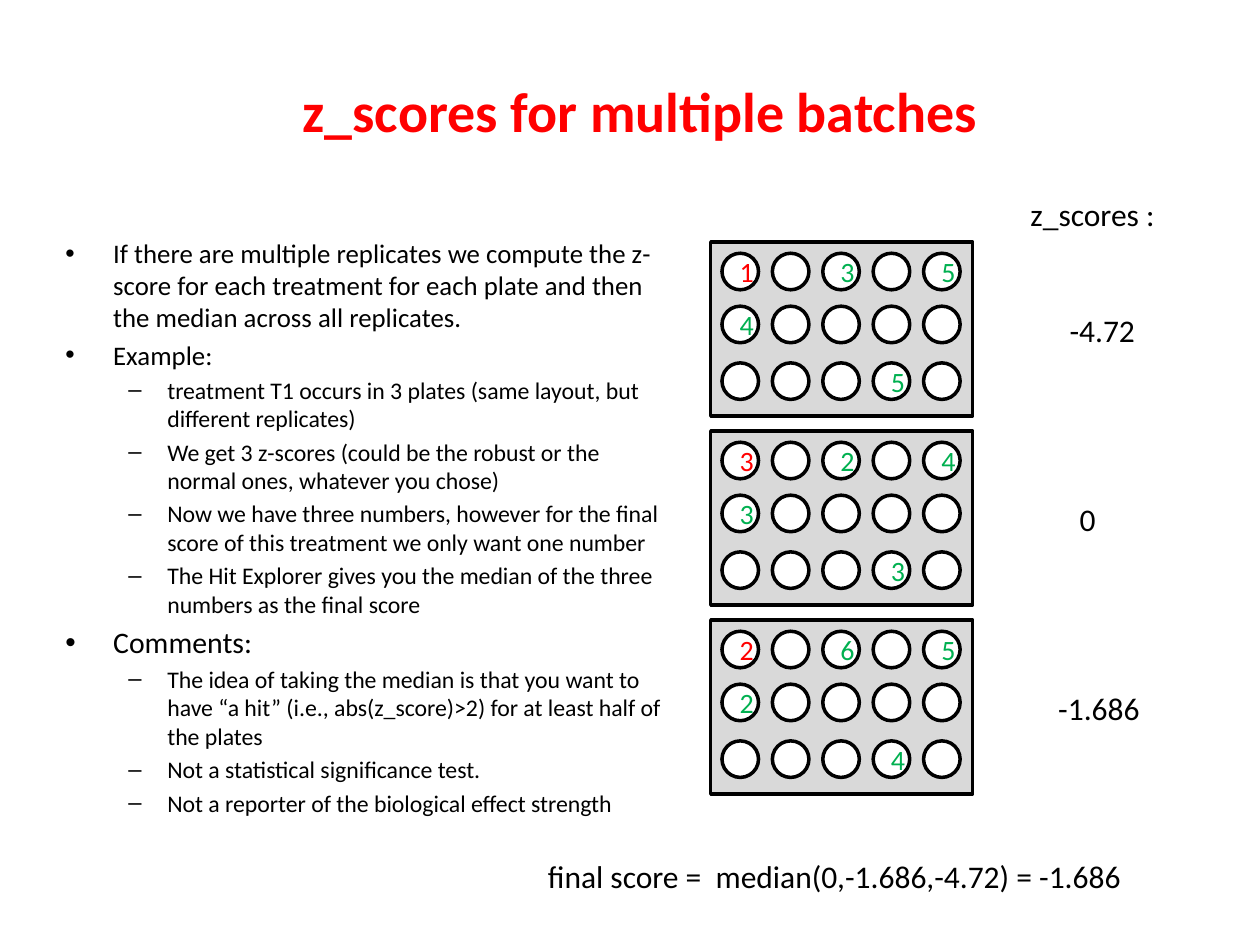
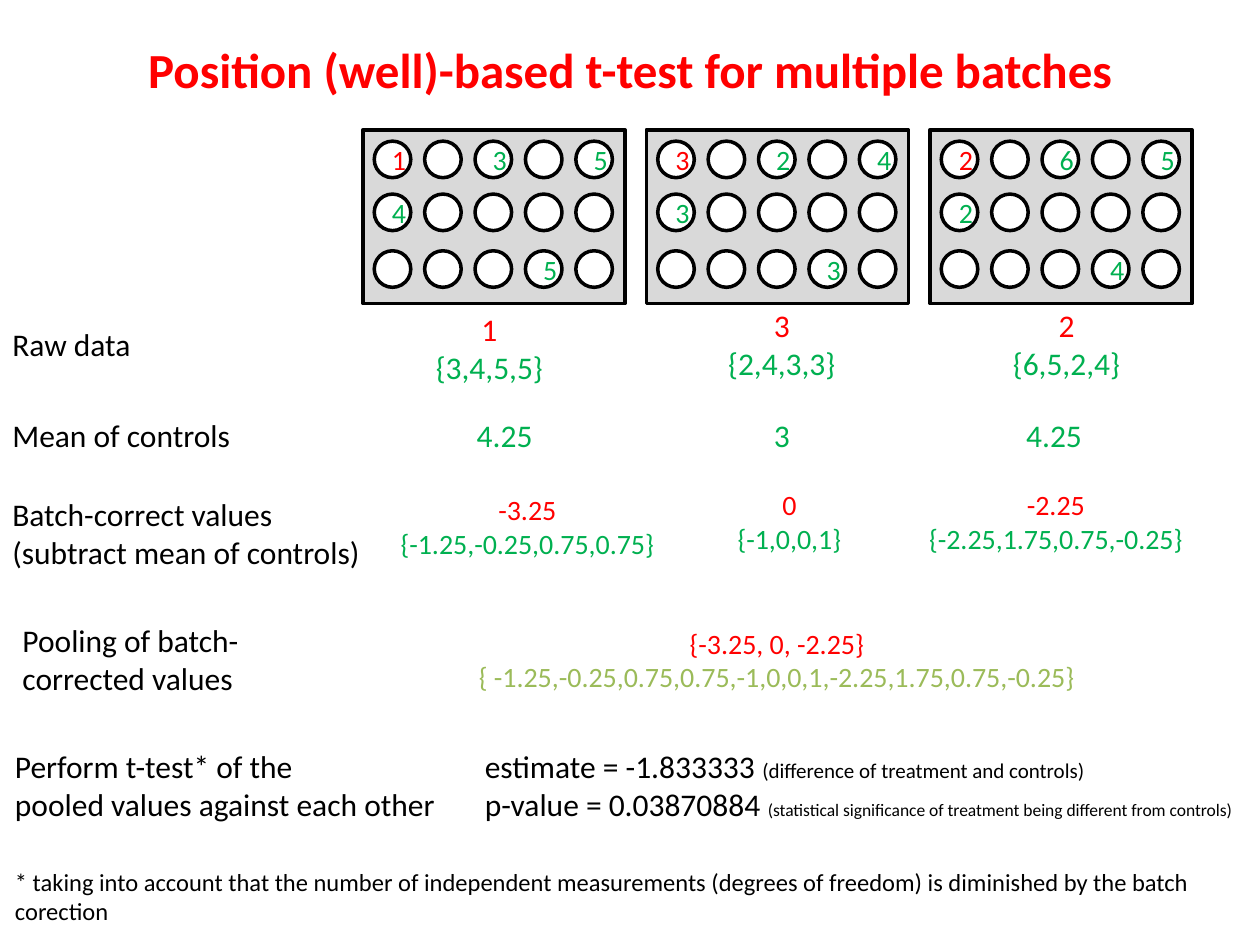
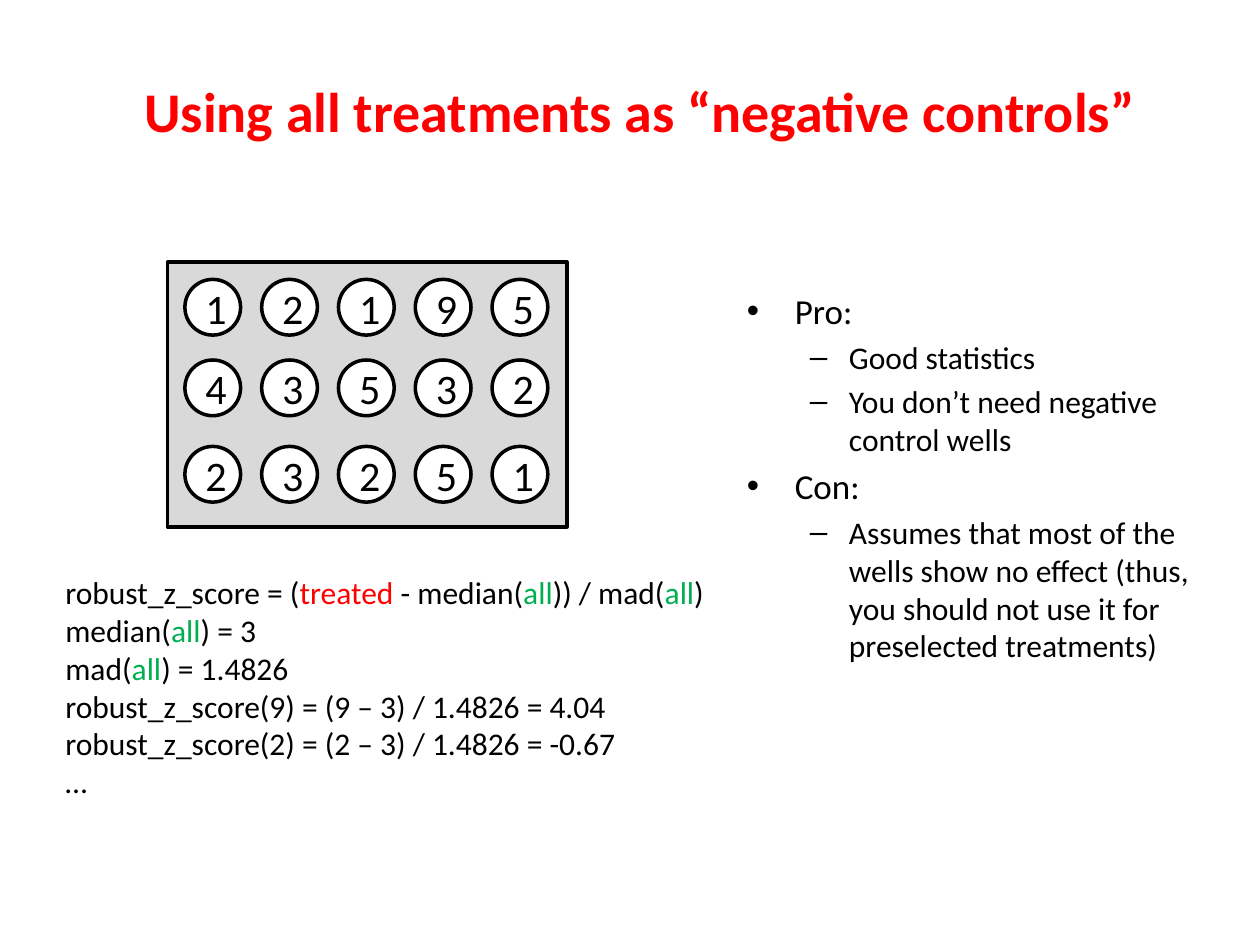
"""Build three slides on scoring treatments across well plates."""
from pptx import Presentation
from pptx.dml.color import RGBColor
from pptx.enum.shapes import MSO_SHAPE
from pptx.enum.text import MSO_ANCHOR, MSO_AUTO_SIZE, PP_ALIGN
from pptx.oxml import parse_xml
from pptx.oxml.ns import nsdecls
from pptx.util import Inches, Pt

RECT, OVAL = MSO_SHAPE.RECTANGLE, MSO_SHAPE.OVAL
LEFT, CENTER = PP_ALIGN.LEFT, PP_ALIGN.CENTER
MIDDLE, GROW = MSO_ANCHOR.MIDDLE, MSO_AUTO_SIZE.SHAPE_TO_FIT_TEXT
FONT = "Calibri"
COLORS = {"red": "FF0000", "green": "00B050", "olive": "9BBB59",
          "black": "000000", "white": "FFFFFF", "gray": "D9D9D9"}

TITLES = [
    ("z_scores for multiple batches", 32, 0.58, 0.25),
    ("Position (well)-based t-test for multiple batches", 28, 0.5, -0.08),
    ("Using all treatments as “negative controls”", 32, 0.58, 0.25),
]

BATCHES = [["1 3 5", "4    ", "   5 "],
           ["3 2 4", "3    ", "   3 "],
           ["2 6 5", "2    ", "   4 "]]
FULL = ["12195", "43532", "23251"]
PLATE_W, PLATE_H, WELL = 2.08, 1.38, 0.29
WELL_X, WELL_STEP, WELL_ROWS = 0.09, 0.4, (0.09, 0.51, 0.96)

BULLETS = {0: ("•", 0.38, 0.38), 1: ("–", 0.81, 0.31)}
METHOD = [
    (0, 15.3, "If there are multiple replicates we compute the z-score for each "
              "treatment for each plate and then the median across all replicates."),
    (0, 15.3, "Example:"),
    (1, 13.6, "treatment T1 occurs in 3 plates (same layout, but different replicates)"),
    (1, 13.6, "We get 3 z-scores (could be the robust or the normal ones, "
              "whatever you chose)"),
    (1, 13.6, "Now we have three numbers, however for the final score of this "
              "treatment we only want one number"),
    (1, 13.6, "The Hit Explorer gives you the median of the three numbers "
              "as the final score"),
    (0, 17, "Comments:"),
    (1, 13.6, "The idea of taking the median is that you want to have “a hit” "
              "(i.e., abs(z_score)>2) for at least half of the plates"),
    (1, 13.6, "Not a statistical significance test."),
    (1, 13.6, "Not a reporter of the biological effect strength"),
]
VERDICT = [
    (0, 20, "Pro:"),
    (1, 18, "Good statistics"),
    (1, 18, "You don’t need negative control wells"),
    (0, 20, "Con:"),
    (1, 18, "Assumes that most of the wells show no effect (thus, you should "
            "not use it for preselected treatments)"),
]

SCORES = [(8.08, 1.5, 1.2, "z_scores :"), (8.39, 2.42, 0.73, "-4.72"),
          (8.47, 3.92, 0.33, "0"), (8.3, 5.42, 0.85, "-1.686")]
FINAL = "final score =  median(0,-1.686,-4.72) = -1.686"

STEPS = [
    (0, 2.53, 1.15, ["Raw data"]),
    (0, 3.25, 1.96, ["Mean of controls"]),
    (0, 3.88, 3, ["Batch-correct values", "(subtract mean of controls)"]),
    (0.08, 4.88, 1.95, ["Pooling of batch-", "corrected values"]),
    (0.02, 5.88, 3.58, ["Perform t-test* of the", "pooled values against each other"]),
]
MEANS = [(3.68, 0.65, "4.25"), (6.04, 0.33, "3"), (8.04, 0.65, "4.25")]
PAIRS = [
    (3.35, 2.41, 1.07, 18, "1", "{3,4,5,5}", "green"),
    (5.67, 2.38, 1.07, 18, "3", "{2,4,3,3}", "green"),
    (7.93, 2.38, 1.07, 18, "2", "{6,5,2,4}", "green"),
    (3.04, 3.86, 2.29, 16, "-3.25", "{-1.25,-0.25,0.75,0.75}", "green"),
    (5.75, 3.82, 1.03, 16, "0", "{-1,0,0,1}", "green"),
    (7.26, 3.82, 2.24, 16, "-2.25", "{-2.25,1.75,0.75,-0.25}", "green"),
    (3.67, 4.92, 4.99, 16, "{-3.25, 0, -2.25}",
     "{ -1.25,-0.25,0.75,0.75,-1,0,0,1,-2.25,1.75,0.75,-0.25}", "olive"),
]
RESULT = [
    [("estimate = -1.833333 ", "black", 18),
     ("(difference of treatment and controls)", "black", 12)],
    [("p-value = 0.03870884 ", "black", 18),
     ("(statistical significance of treatment being different from controls)",
      "black", 10)],
]
NOTE = ("* taking into account that the number of independent measurements "
        "(degrees of freedom) is diminished by the batch corection")

ALL = ("all", "green")
FORMULA = [
    [("robust_z_score = (", "black"), ("treated", "red"), (" - median(", "black"),
     ALL, (")) / mad(", "black"), ALL, (")", "black")],
    [("median(", "black"), ALL, (") = 3", "black")],
    [("mad(", "black"), ALL, (") = 1.4826", "black")],
    "robust_z_score(9) = (9 – 3) / 1.4826 = 4.04",
    "robust_z_score(2) = (2 – 3) / 1.4826 = -0.67",
    "…",
]


def rgb(name):
    return RGBColor.from_string(COLORS[name])


def style(run, size, color="black", bold=False):
    font = run.font
    font.name, font.size, font.bold = FONT, Pt(size), bold
    font.color.rgb = rgb(color)


def add_title(slide, words, size, x, y):
    title = slide.shapes.title
    title.left, title.top, title.width, title.height = map(Inches, (x, y, 9, 1.25))
    frame = title.text_frame
    frame.text, frame.vertical_anchor = words, MIDDLE
    frame.paragraphs[0].alignment = CENTER
    style(frame.paragraphs[0].runs[0], size, "red", True)


def add_box(slide, x, y, w, h, wrap):
    box = slide.shapes.add_textbox(*map(Inches, (x, y, w, h)))
    box.text_frame.word_wrap = wrap
    return box.text_frame


def next_par(frame, index):
    return frame.add_paragraph() if index else frame.paragraphs[0]


def add_text(slide, x, y, w, h, lines, size=18, align=LEFT, wrap=False):
    frame = add_box(slide, x, y, w, h, wrap)
    frame.auto_size = GROW
    for index, line in enumerate(lines):
        par = next_par(frame, index)
        par.alignment = align
        for words, color, *own in [(line, "black")] if isinstance(line, str) else line:
            run = par.add_run()
            run.text = words
            style(run, own[0] if own else size, color)


def add_list(slide, x, y, w, h, items):
    frame = add_box(slide, x, y, w, h, True)
    for index, (level, size, words) in enumerate(items):
        par = next_par(frame, index)
        par.text, par.level = words, level
        par.space_before = Pt(round(size * 0.2, 1))
        style(par.runs[0], size)
        mark, margin, hang = BULLETS[level]
        props = par._p.get_or_add_pPr()
        props.set("marL", str(Inches(margin)))
        props.set("indent", str(-Inches(hang)))
        props.append(parse_xml(f'<a:buFont {nsdecls("a")} typeface="Arial"/>'))
        props.append(parse_xml(f'<a:buChar {nsdecls("a")} char="{mark}"/>'))


def add_part(group, kind, x, y, w, h, fill):
    part = group.shapes.add_shape(kind, *map(Inches, (x, y, w, h)))
    part.shadow.inherit = False
    part.fill.solid()
    part.fill.fore_color.rgb = rgb(fill)
    part.line.color.rgb, part.line.width = rgb("black"), Pt(2)
    return part


def add_plate(slide, x, y, rows, scale=1.0, size=16, marked=True):
    group = slide.shapes.add_group_shape()
    add_part(group, RECT, x, y, PLATE_W * scale, PLATE_H * scale, "gray")
    for r, row in enumerate(rows):
        for c, digit in enumerate(row):
            well = add_part(group, OVAL, x + (WELL_X + c * WELL_STEP) * scale,
                            y + WELL_ROWS[r] * scale, WELL * scale, WELL * scale, "white")
            if digit == " ":
                continue
            frame = well.text_frame
            frame.text, frame.vertical_anchor = digit, MIDDLE
            frame.paragraphs[0].alignment = CENTER
            color = "black" if not marked else "green" if r or c else "red"
            style(frame.paragraphs[0].runs[0], size, color)


def fill_scores(slide):
    add_list(slide, 0.42, 1.83, 5, 4.33, METHOD)
    for i, rows in enumerate(BATCHES):
        add_plate(slide, 5.64, 1.92 + 1.5 * i, rows)
    for x, y, w, words in SCORES:
        add_text(slide, x, y, w, 0.4, [words])
    add_text(slide, 4.25, 6.75, 4.83, 0.4, [FINAL], wrap=True)


def fill_test(slide):
    for i, rows in enumerate(BATCHES):
        add_plate(slide, 2.88 + 2.25 * i, 1.03, rows)
    for x, y, w, lines in STEPS:
        add_text(slide, x, y, w, 0.4 if len(lines) == 1 else 0.71, lines)
    for x, w, mean in MEANS:
        add_text(slide, x, 3.25, w, 0.4, [[(mean, "green")]], align=CENTER)
    for x, y, w, size, treated, control, color in PAIRS:
        add_text(slide, x, y, w, 0.71 if size == 18 else 0.64,
                 [[(treated, "red")], [(control, color)]], size, CENTER)
    add_text(slide, 3.75, 5.88, 6.34, 0.71, RESULT)
    add_text(slide, 0.02, 6.83, 9.98, 0.57, [NOTE], 14, wrap=True)


def fill_all(slide):
    add_list(slide, 5.83, 2.25, 4, 3.17, VERDICT)
    add_plate(slide, 1.33, 2.08, FULL, 3.17 / PLATE_W, 24, False)
    add_text(slide, 0.42, 4.5, 6.08, 2.22, FORMULA, wrap=True)


def main():
    deck = Presentation()
    deck.slide_width, deck.slide_height = Inches(10), Inches(7.5)
    for title, fill in zip(TITLES, (fill_scores, fill_test, fill_all)):
        slide = deck.slides.add_slide(deck.slide_layouts[5])
        add_title(slide, *title)
        fill(slide)
    deck.save("out.pptx")


if __name__ == "__main__":
    main()
